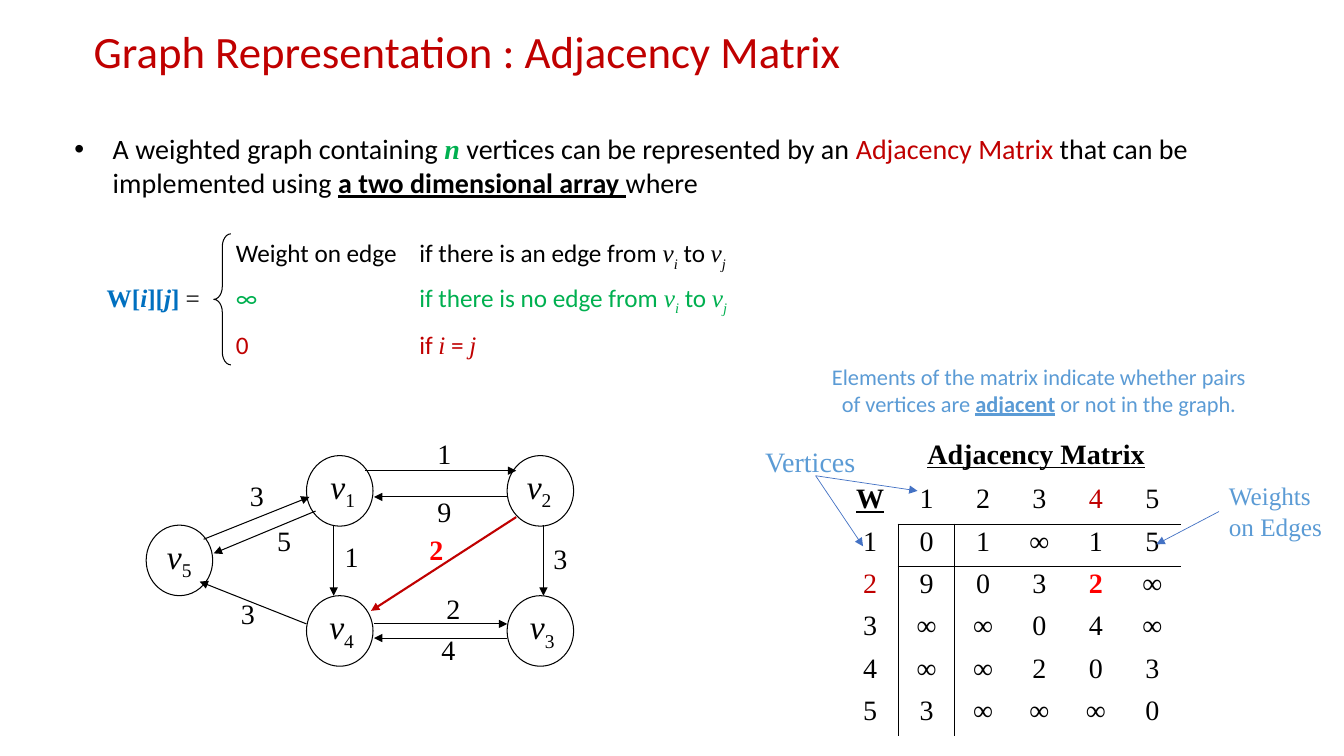
from pptx import Presentation
from pptx.dml.color import RGBColor
from pptx.enum.shapes import MSO_CONNECTOR, MSO_SHAPE
from pptx.enum.text import MSO_ANCHOR, PP_ALIGN
from pptx.oxml.ns import qn
from pptx.util import Inches, Pt
from lxml import etree

STRAIGHT = MSO_CONNECTOR.STRAIGHT
OVAL, BRACE = MSO_SHAPE.OVAL, MSO_SHAPE.LEFT_BRACE
TOP, MIDDLE = MSO_ANCHOR.TOP, MSO_ANCHOR.MIDDLE
CENTER = PP_ALIGN.CENTER

SANS, SERIF = "Calibri", "Times New Roman"
BLACK, WHITE, DARK_RED, RED = "000000", "FFFFFF", "C00000", "FF0000"
GREEN, BLUE, NOTE_BLUE, POINTER_BLUE = "00B050", "0070C0", "5B9BD5", "4472C4"
NO_TABLE_STYLE = "{2D5ABB26-0587-4C30-8999-92F81FD0307C}"


def rgb(value):
    return RGBColor.from_string(value)


def add_xml(parent, tag, **attributes):
    return etree.SubElement(parent, qn(tag), attributes)


def write(paragraph, *runs, **base):
    """Each run is a string, or a pair of string and format overrides."""
    for item in runs:
        content, extra = (item, {}) if isinstance(item, str) else item
        style = {"size": 20, "font": SERIF, "color": BLACK, **base, **extra}
        run = paragraph.add_run()
        run.text = content
        run.font.size = Pt(style["size"])
        run.font.name = style["font"]
        run.font.color.rgb = rgb(style["color"])
        run.font.bold = style.get("bold", False)
        run.font.italic = style.get("italic", False)
        run.font.underline = style.get("underline", False)
        if style.get("sub"):
            run.font._element.set("baseline", "-25000")


class Board:
    def __init__(self, slide):
        self.shapes = slide.shapes

    def text(self, box, *lines, anchor=TOP, wrap=True, align=None, spacing=None,
             before=(), side=0.1, **style):
        """Each line is a list of runs."""
        area = self.shapes.add_textbox(*map(Inches, box))
        frame = area.text_frame
        frame.word_wrap, frame.vertical_anchor = wrap, anchor
        frame.margin_left = frame.margin_right = Inches(side)
        for number, runs in enumerate(lines):
            paragraph = frame.add_paragraph() if number else frame.paragraphs[0]
            paragraph.alignment, paragraph.line_spacing = align, spacing
            if number < len(before):
                paragraph.space_before = Pt(before[number])
            write(paragraph, *runs, **style)
        return area

    def shape(self, kind, box, fill=None):
        item = self.shapes.add_shape(kind, *map(Inches, box))
        item.shadow.inherit = False
        item.line.color.rgb = rgb(BLACK)
        item.line.width = Pt(0.75)
        if fill:
            item.fill.solid()
            item.fill.fore_color.rgb = rgb(fill)
        else:
            item.fill.background()
        return item

    def vertex(self, number, x, y, inset):
        frame = self.shape(OVAL, (x, y, 0.66, 0.7), WHITE).text_frame
        frame.word_wrap, frame.vertical_anchor = True, TOP
        frame.margin_left, frame.margin_right = Inches(inset), 0
        frame.margin_top, frame.margin_bottom = 0, Inches(0.05)
        paragraph = frame.paragraphs[0]
        paragraph.alignment = PP_ALIGN.LEFT
        write(paragraph, ("v", {"italic": True}), (number, {"sub": True}), size=24)

    def arrow(self, start, end, color=BLACK, width=0.75):
        line = self.shapes.add_connector(STRAIGHT, *map(Inches, (*start, *end)))
        line.line.color.rgb = rgb(color)
        line.line.width = Pt(width)
        add_xml(line.line._get_or_add_ln(), "a:tailEnd", type="triangle")
        add_xml(line._element.spPr, "a:effectLst")
        return line

    def matrix(self, x, y, column, row, values, formats):
        count = len(values)
        frame = self.shapes.add_table(count, count, Inches(x), Inches(y),
                                      Inches(column * count), Inches(row * count))
        table = frame.table
        table.first_row = table.horz_banding = False
        table._tbl.tblPr.find(qn("a:tableStyleId")).text = NO_TABLE_STYLE
        for r, entries in enumerate(values):
            table.rows[r].height = Inches(row)
            table.columns[r].width = Inches(column)
            for c, entry in enumerate(entries):
                cell = table.cell(r, c)
                cell.margin_left = cell.margin_right = Inches(0.04)
                cell.margin_top = cell.margin_bottom = Inches(0.02)
                # Rules below the header row and right of the header column
                ruled = {"L": r and c == 1, "R": r and c == 0,
                         "T": c and r == 1, "B": c and r == 0}
                for edge, shown in ruled.items():
                    if shown:
                        border = add_xml(cell._tc.get_or_add_tcPr(), f"a:ln{edge}", w="12700")
                        add_xml(add_xml(border, "a:solidFill"), "a:srgbClr", val=BLACK)
                cell.fill.background()
                paragraph = cell.text_frame.paragraphs[0]
                paragraph.alignment = CENTER
                write(paragraph, entry, **formats.get((r, c), {}))


def edge_condition(start, end=" to "):
    var, index = {"font": SERIF, "italic": True}, {"font": SERIF, "italic": True, "sub": True}
    return [start, ("v", var), ("i", index), end, ("v", var), ("j", index)]


def colored(runs, color):
    pairs = [(run, {}) if isinstance(run, str) else run for run in runs]
    return [(content, {**extra, "color": color}) for content, extra in pairs]


def main():
    deck = Presentation()
    deck.slide_width, deck.slide_height = Inches(13.33), Inches(7.5)
    board = Board(deck.slides.add_slide(deck.slide_layouts[6]))

    # Title and definition
    board.text((0.83, 0.08, 11.63, 0.92), ["Graph Representation : Adjacency Matrix"],
               anchor=MIDDLE, spacing=0.9, size=32, font=SANS, color=DARK_RED)
    definition = board.text((0.64, 1.26, 11.63, 0.8), [
        "A weighted graph containing ",
        ("n", {"font": SERIF, "color": GREEN, "bold": True, "italic": True}),
        " vertices can be represented by an ",
        ("Adjacency Matrix ", {"color": DARK_RED}),
        "that can be implemented using ",
        ("a two dimensional array ", {"bold": True, "underline": True}),
        "where"], font=SANS)
    bullet = definition.text_frame.paragraphs[0]._p.get_or_add_pPr()
    bullet.set("marL", str(Inches(0.38)))
    bullet.set("indent", str(-Inches(0.38)))
    add_xml(bullet, "a:buFont", typeface="Arial")
    add_xml(bullet, "a:buChar", char="•")

    # Weight formula
    var = {"font": SERIF, "italic": True}
    cases = board.text(
        (2.24, 2.31, 5.32, 1.28),
        edge_condition("Weight on edge\tif there is an edge from "),
        colored(edge_condition("∞\tif there is no edge from "), GREEN),
        colored(["0\tif ", ("i", var), " = ", ("j", var)], DARK_RED),
        before=(0, 7.2, 9), size=18, font=SANS)
    for paragraph in cases.text_frame.paragraphs:
        tabs = add_xml(paragraph._p.get_or_add_pPr(), "a:tabLst")
        add_xml(tabs, "a:tab", pos=str(Inches(1.82)), algn="l")
    board.text((0.96, 2.79, 1.42, 0.5),
               ["W[", ("i", {"italic": True}), "][", ("j", {"italic": True}), "] ",
                ("=", {"color": BLACK, "bold": False})],
               spacing=0.9, size=18, color=BLUE, bold=True)
    brace = board.shape(BRACE, (2.12, 2.32, 0.17, 1.3))
    brace.adjustments[0], brace.adjustments[1] = 0.75, 0.5

    # Adjacency matrix
    red = {"color": DARK_RED}
    board.matrix(8.35, 4.78, 0.56, 0.42,
                 ["W12345", "101∞15", "29032∞", "3∞∞04∞", "4∞∞203", "53∞∞∞0"],
                 {(0, 0): {"bold": True, "underline": True}, (0, 4): red, (2, 0): red,
                  (2, 4): {"color": RED, "bold": True}})
    board.text((9.1, 4.28, 2.37, 0.44), ["Adjacency Matrix"], wrap=False,
               bold=True, underline=True)

    # Graph vertices
    left, right, upper, lower = 3.04, 5.03, 4.52, 5.91
    for vertex in [("1", left, upper, 0.14), ("2", right, upper, 0.1),
                   ("4", left, lower, 0.13), ("3", right, lower, 0.13),
                   ("5", 1.45, 5.21, 0.11)]:
        board.vertex(*vertex)

    # Graph edges
    for start, end in [((2.02, 5.35), (3.07, 4.93)), ((3.13, 5.07), (2.12, 5.49)),
                       ((3.62, 4.67), (5.12, 4.67)), ((5.03, 4.93), (3.71, 4.93)),
                       ((3.71, 6.19), (5.03, 6.19)), ((5.03, 6.33), (3.71, 6.33)),
                       ((3.31, 5.21), (3.31, 5.91)), ((5.39, 5.21), (5.39, 5.91)),
                       ((3.04, 6.19), (1.98, 5.77))]:
        board.arrow(start, end)
    board.arrow((5.12, 5.13), (3.68, 6.06), DARK_RED, 1.5)

    # Edge weights
    for weight, x, y in [("3", 2.38, 4.7), ("4", 4.28, 6.23), ("3", 2.29, 5.87),
                         ("2", 4.33, 5.82), ("5", 2.65, 5.14), ("9", 4.24, 4.86),
                         ("1", 4.24, 4.28), ("3", 5.39, 5.32), ("1", 3.32, 5.3)]:
        board.text((x, y, 0.4, 0.48), [weight])
    board.text((4.16, 5.23, 0.44, 0.44), ["2"], color=RED, bold=True)

    # Matrix annotations
    board.text((7.49, 4.36, 1.1, 0.44), ["Vertices"], wrap=False, color=NOTE_BLUE)
    for target in [(9.1, 4.87), (8.56, 5.42)]:
        board.arrow((8.09, 4.72), target, POINTER_BLUE, 0.5)
    weights = board.text((12.09, 4.72, 1.13, 0.71), ["Weights"], ["on Edges"],
                         wrap=False, size=18, color=NOTE_BLUE)
    board.arrow((12.09, 5.07), (11.47, 5.4), POINTER_BLUE, 0.5).begin_connect(weights, 1)
    board.text((7.99, 3.55, 4.63, 0.64),
               ["Elements of the matrix indicate whether pairs of vertices are ",
                ("adjacent", {"bold": True, "underline": True}),
                " or not in the graph."],
               align=CENTER, side=0.2, size=16, font=SANS, color=NOTE_BLUE)

    deck.save("out.pptx")


if __name__ == "__main__":
    main()
